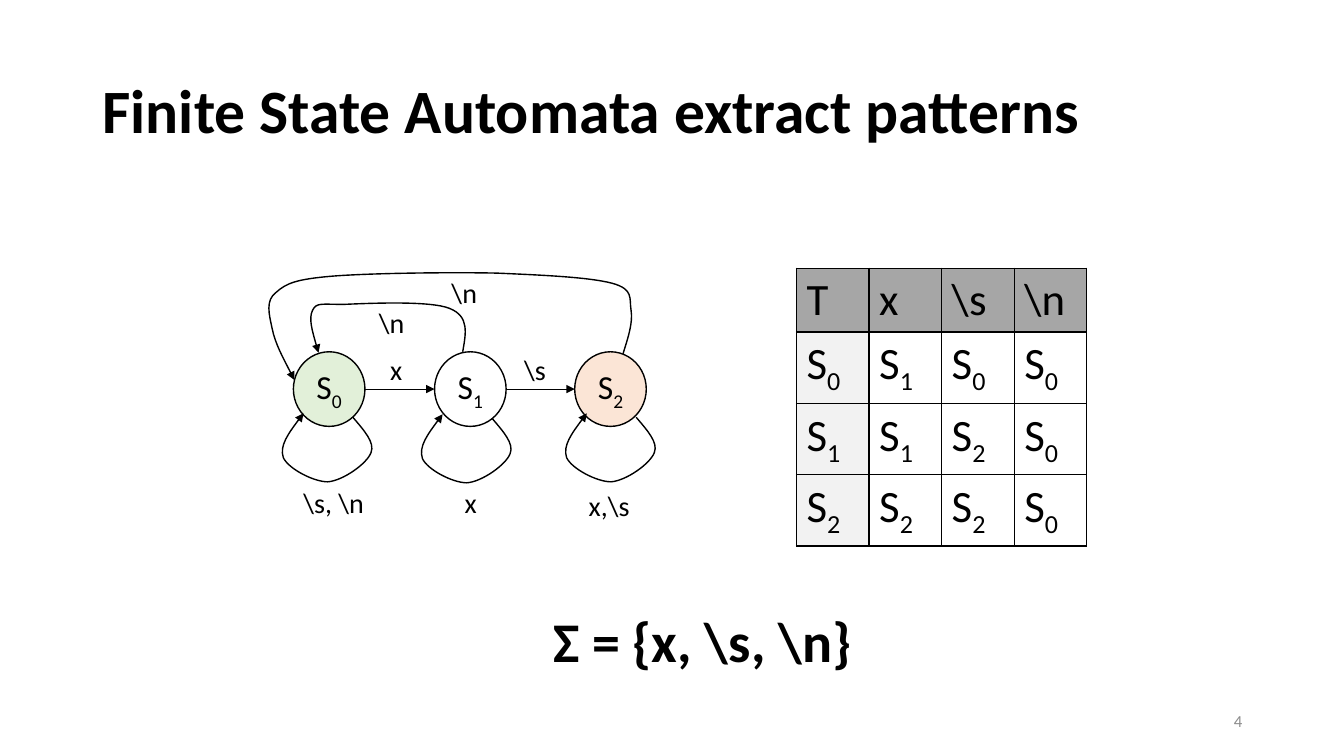
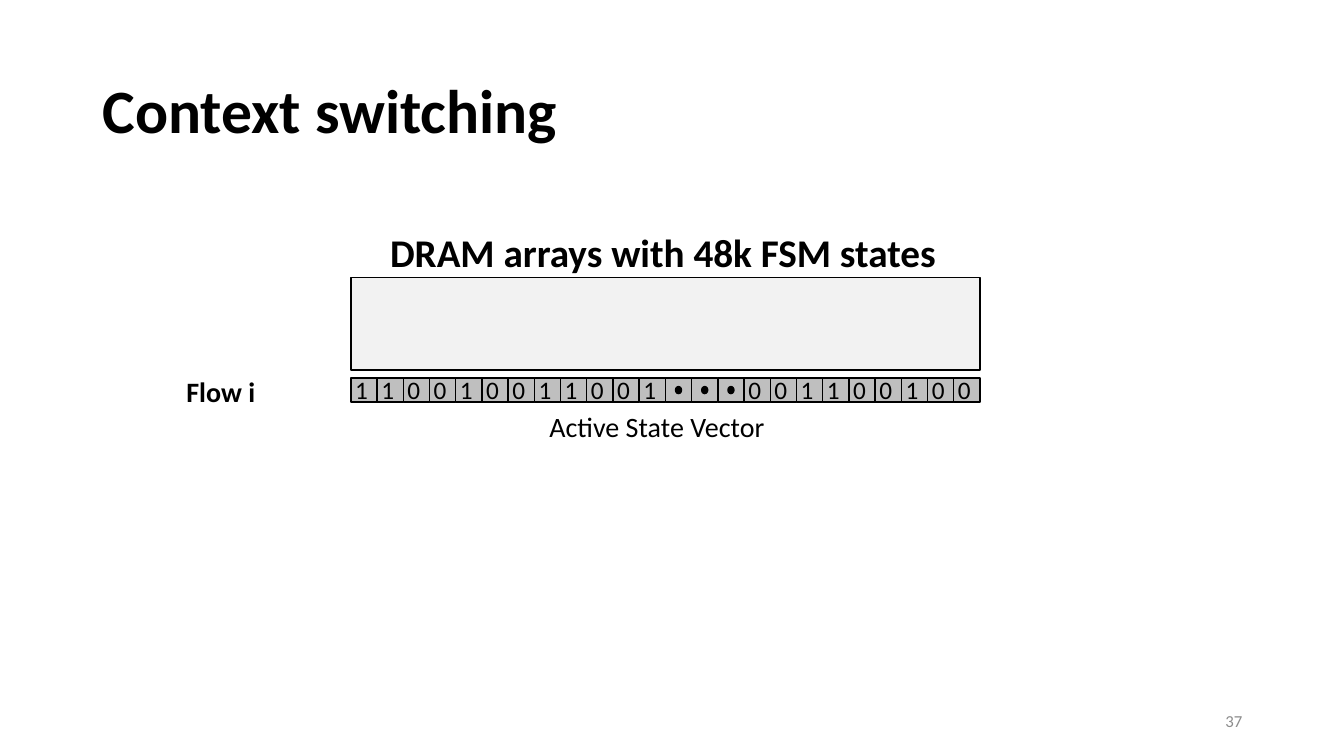
from typing import NamedTuple

import pptx
import pptx.dml.color
import pptx.enum.shapes
import pptx.enum.text
import pptx.oxml
import pptx.oxml.ns
import pptx.util

Inches = pptx.util.Inches
Pt = pptx.util.Pt
Shape = pptx.enum.shapes.MSO_SHAPE
Anchor = pptx.enum.text.MSO_ANCHOR
Align = pptx.enum.text.PP_ALIGN
qn = pptx.oxml.ns.qn

FONT = "Calibri"
COLORS = {
    "black": "000000", "white": "FFFFFF", "green": "E2F0D9", "peach": "FBE5D6",
    "header": "A6A6A6", "light": "F2F2F2", "bit": "BFBFBF", "number": "8C8C8C",
}


class Box(NamedTuple):
    left: float
    top: float
    width: float
    height: float


class Style(NamedTuple):
    size: float
    bold: bool = False
    color: str = "black"
    align: Align = Align.LEFT
    anchor: Anchor = Anchor.TOP


class Label(NamedTuple):
    text: str
    box: Box


class State(NamedTuple):
    index: int
    left: float
    fill: str


Point = tuple[float, float]

TITLE = Style(44, bold=True, anchor=Anchor.MIDDLE)
NUMBER = Style(12, color="number", align=Align.RIGHT, anchor=Anchor.MIDDLE)
LABEL = Style(20)
STATE = Style(24, align=Align.CENTER, anchor=Anchor.MIDDLE)
BIT = Style(18, align=Align.CENTER, anchor=Anchor.MIDDLE)
CELL = Style(32)

STATE_TOP, STATE_WIDTH, STATE_HEIGHT = 3.49, 0.71, 0.74
STATES = [State(0, 2.91, "green"), State(1, 4.31, "white"), State(2, 5.7, "peach")]
LOOP: list[Point] = [
    (3.5, 4.14), (3.61, 4.27), (3.72, 4.39), (3.68, 4.49), (3.64, 4.6), (3.4, 4.77),
    (3.25, 4.78), (3.11, 4.78), (2.86, 4.65), (2.81, 4.54), (2.77, 4.42), (2.89, 4.26),
    (3.01, 4.1),
]
LOOP_OFFSETS: list[Point] = [(0, 0), (1.38, 0.01), (2.81, 0)]
RETURNS: list[list[Point]] = [
    [
        (4.59, 3.49), (4.62, 3.31), (4.66, 3.14), (4.46, 3.06), (4.27, 2.98), (3.64, 3.01),
        (3.41, 3.02), (3.18, 3.02), (3.14, 3), (3.1, 3.08), (3.06, 3.16), (3.11, 3.33),
        (3.16, 3.5),
    ],
    [
        (6.18, 3.51), (6.23, 3.35), (6.28, 3.2), (6.26, 3.08), (6.24, 2.96), (6.29, 2.87),
        (6.07, 2.81), (5.84, 2.75), (5.39, 2.73), (4.93, 2.71), (4.47, 2.7), (3.67, 2.71),
        (3.3, 2.74), (2.94, 2.77), (2.84, 2.81), (2.74, 2.9), (2.63, 2.98), (2.67, 3.12),
        (2.7, 3.26), (2.73, 3.41), (2.83, 3.59), (2.92, 3.77),
    ],
]
EDGE_LABELS = [
    Label("\\s", Box(5.1, 3.45, 0.49, 0.44)),
    Label("x,\\s", Box(5.74, 4.8, 0.76, 0.44)),
    Label("\\n", Box(4.38, 2.68, 0.6, 0.44)),
    Label("\\n", Box(3.66, 2.98, 0.6, 0.44)),
    Label("\\s, \\n", Box(2.91, 4.77, 0.86, 0.44)),
    Label("x", Box(3.77, 3.45, 0.6, 0.44)),
    Label("x", Box(4.51, 4.77, 0.6, 0.44)),
]
SYMBOLS = ["T", "x", "\\s", "\\n"]
TRANSITIONS = [[0, 1, 0, 0], [1, 1, 2, 0], [2, 2, 2, 0]]
BITS = "110010011001•••001100100"


def rgb(name: str) -> pptx.dml.color.RGBColor:
    return pptx.dml.color.RGBColor.from_string(COLORS[name])


def set_text(tf, text: str, style: Style, sub: str = "") -> None:
    tf.text = text
    tf.vertical_anchor = style.anchor
    p = tf.paragraphs[0]
    p.alignment = style.align
    if sub:
        r = p.add_run()
        r.text = sub
        r._r.get_or_add_rPr().set("baseline", "-25000")
    for r in p.runs:
        r.font.name = FONT
        r.font.size = Pt(style.size)
        r.font.bold = style.bold
        r.font.color.rgb = rgb(style.color)


def add_text(slide, text: str, box: Box, style: Style):
    sp = slide.shapes.add_textbox(*map(Inches, box))
    tf = sp.text_frame
    tf.word_wrap = True
    set_text(tf, text, style)
    return tf


def add_box(slide, kind: Shape, box: Box, fill: str):
    sp = slide.shapes.add_shape(kind, *map(Inches, box))
    sp.shadow.inherit = False
    sp.fill.solid()
    sp.fill.fore_color.rgb = rgb(fill)
    set_line(sp, 1)
    tf = sp.text_frame
    tf.word_wrap = False
    tf.margin_left = tf.margin_right = tf.margin_top = tf.margin_bottom = 0
    return sp


def set_line(sp, width: float, arrow: bool = False) -> None:
    sp.line.width = Pt(width)
    sp.line.color.rgb = rgb("black")
    if arrow:
        ln = sp._element.spPr.find(qn("a:ln"))
        ln.append(ln.makeelement(qn("a:tailEnd"), {"type": "triangle"}))


def add_arrow(slide, start: Point, end: Point) -> None:
    line = slide.shapes.add_connector(
        pptx.enum.shapes.MSO_CONNECTOR.STRAIGHT, *map(Inches, start + end))
    set_line(line, 0.5, arrow=True)
    sp_pr = line._element.spPr
    sp_pr.append(sp_pr.makeelement(qn("a:effectLst"), {}))


def add_curve(slide, points: list[Point]) -> None:
    start, *rest = [(Inches(x), Inches(y)) for x, y in points]
    builder = slide.shapes.build_freeform(*start)
    builder.add_line_segments(rest, close=False)
    sp = builder.convert_to_shape()
    sp.shadow.inherit = False
    sp.fill.background()
    set_line(sp, 1, arrow=True)
    outline = sp._element.find(".//" + qn("a:path"))
    segments = outline.findall(qn("a:lnTo"))
    for i in range(0, len(segments), 3):
        curve = outline.makeelement(qn("a:cubicBezTo"), {})
        for segment in segments[i:i + 3]:
            curve.append(segment[0])
            outline.remove(segment)
        outline.append(curve)


def set_cell(cell, text: str, sub: str, fill: str) -> None:
    tc_pr = cell._tc.get_or_add_tcPr()
    for side in ("lnL", "lnR", "lnT", "lnB"):
        tc_pr.append(pptx.oxml.parse_xml(
            f'<a:{side} {pptx.oxml.ns.nsdecls("a")} w="12700"><a:solidFill>'
            f'<a:srgbClr val="{COLORS["black"]}"/></a:solidFill></a:{side}>'))
    if fill:
        cell.fill.solid()
        cell.fill.fore_color.rgb = rgb(fill)
    else:
        cell.fill.background()
    set_text(cell.text_frame, text, CELL, sub)


def add_transition_table(slide) -> None:
    size = len(SYMBOLS)
    table = slide.shapes.add_table(
        size, size, *map(Inches, Box(7.9, 2.66, 2.88, 2.53))).table
    table.first_row = table.horz_banding = False
    for i in range(size):
        table.columns[i].width = Inches(0.72)
        table.rows[i].height = Inches(0.63)
        set_cell(table.cell(0, i), SYMBOLS[i], "", "header")
    for row, targets in enumerate(TRANSITIONS, start=1):
        for col, target in enumerate(targets):
            set_cell(table.cell(row, col), "S", str(target), "" if col else "light")


def add_slide(prs, title: str, number: int):
    slide = prs.slides.add_slide(prs.slide_layouts[6])
    tf = add_text(slide, title, Box(0.92, 0.4, 11.5, 1.45), TITLE)
    tf.paragraphs[0].line_spacing = 0.9
    add_text(slide, str(number), Box(9.42, 6.95, 3, 0.4), NUMBER)
    return slide


def build_automata(prs) -> None:
    slide = add_slide(prs, "Finite State Automata extract patterns", 4)
    for state in STATES:
        box = Box(state.left, STATE_TOP, STATE_WIDTH, STATE_HEIGHT)
        sp = add_box(slide, Shape.OVAL, box, state.fill)
        set_text(sp.text_frame, "S", STATE, str(state.index))
    middle = STATE_TOP + STATE_HEIGHT / 2
    for source, target in zip(STATES, STATES[1:]):
        add_arrow(slide, (source.left + STATE_WIDTH, middle), (target.left, middle))
    loops = [[(x + dx, y + dy) for x, y in LOOP] for dx, dy in LOOP_OFFSETS]
    for points in loops + RETURNS:
        add_curve(slide, points)
    for label in EDGE_LABELS:
        add_text(slide, label.text, label.box, LABEL)
    add_transition_table(slide)
    add_text(slide, "Σ = {x, \\s, \\n}", Box(5.39, 5.97, 3.29, 0.77), Style(40, bold=True))


def build_context_switching(prs) -> None:
    slide = add_slide(prs, "Context switching", 37)
    left, top, width, height = 3.48, 3.75, 0.26, 0.24
    dot_width, dot_height = 0.06, 0.07
    add_box(slide, Shape.RECTANGLE, Box(left, 2.75, width * len(BITS), 0.92), "light")
    for i, bit in enumerate(BITS):
        x = left + i * width
        sp = add_box(slide, Shape.RECTANGLE, Box(x, top, width, height), "bit")
        if bit == "•":
            dot = Box(x + (width - dot_width) / 2, top + (height - dot_height) / 2,
                      dot_width, dot_height)
            add_box(slide, Shape.OVAL, dot, "black")
        else:
            sp.text_frame.margin_right = Inches(0.05)
            sp.text_frame.margin_bottom = Inches(0.02)
            set_text(sp.text_frame, bit, BIT)
    add_text(slide, "DRAM arrays with 48k FSM states", Box(3.77, 2.22, 5.79, 0.57),
             Style(28, bold=True))
    add_text(slide, "Active State Vector", Box(5.35, 4.01, 2.62, 0.44), LABEL)
    add_text(slide, "Flow i", Box(1.75, 3.67, 1.13, 0.44), Style(20, bold=True))


def main() -> None:
    prs = pptx.Presentation()
    prs.slide_width, prs.slide_height = Inches(13.33), Inches(7.5)
    build_automata(prs)
    build_context_switching(prs)
    prs.save("out.pptx")


if __name__ == "__main__":
    main()
